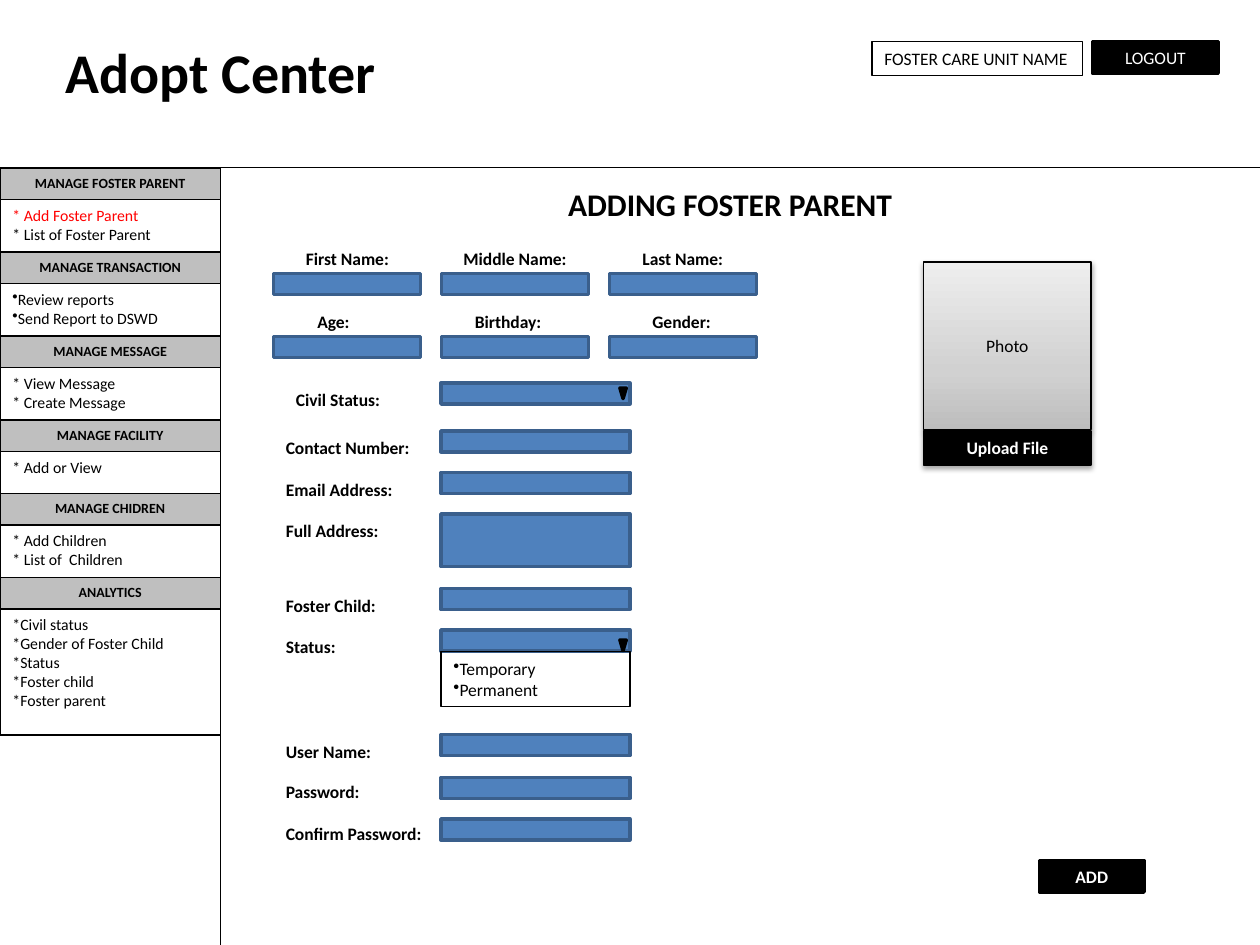
from copy import deepcopy
from dataclasses import dataclass

from lxml import etree
from pptx import Presentation
from pptx.dml.color import RGBColor
from pptx.enum.shapes import MSO_CONNECTOR, MSO_SHAPE
from pptx.enum.text import MSO_ANCHOR, MSO_AUTO_SIZE, PP_ALIGN
from pptx.oxml.ns import qn
from pptx.util import Inches, Pt

RECT, MERGE = MSO_SHAPE.RECTANGLE, MSO_SHAPE.FLOWCHART_MERGE
STRAIGHT = MSO_CONNECTOR.STRAIGHT
LEFT, CENTER = PP_ALIGN.LEFT, PP_ALIGN.CENTER
TOP, MIDDLE = MSO_ANCHOR.TOP, MSO_ANCHOR.MIDDLE
GROW, FIXED = MSO_AUTO_SIZE.SHAPE_TO_FIT_TEXT, MSO_AUTO_SIZE.NONE
UNIT = 1 / 12


@dataclass(frozen=True)
class Theme:
    font: str = "Calibri"
    ink: str = "000000"
    paper: str = "FFFFFF"
    active: str = "FF0000"
    header: str = "BFBFBF"
    field: str = "4F81BD"
    field_line: str = "3A5F8C"
    photo: tuple = ((0, "BDBDBD"), (0.35, "D1D1D1"), (1, "EEEEEE"))
    title: int = 32
    heading: int = 18
    body: int = 10
    menu: int = 9
    menu_header: int = 8
    thin: float = 0.75
    thick: float = 2


THEME = Theme()


def rgb(value):
    return RGBColor.from_string(value)


def write(sp, text, size=THEME.body, color=THEME.ink, bold=False, align=LEFT,
          anchor=TOP, bullet=False, wrap=True, grow=False, first_color=None):
    tf = sp.text_frame
    tf.word_wrap = wrap
    tf.auto_size = GROW if grow else FIXED
    tf.vertical_anchor = anchor
    for i, line in enumerate(text.split("\n")):
        p = tf.add_paragraph() if i else tf.paragraphs[0]
        p.alignment = align
        if bullet:
            etree.SubElement(p._p.get_or_add_pPr(), qn("a:buChar"), char="•")
        r = p.add_run()
        r.text = line
        r.font.name, r.font.size, r.font.bold = THEME.font, Pt(size), bold
        r.font.color.rgb = rgb(color if i or not first_color else first_color)


class Page:
    """Draws themed elements on the current slide."""

    def __init__(self, prs, theme):
        self.theme = theme
        self.s = prs.slides.add_slide(prs.slide_layouts[5])

    def title(self, text, *box):
        sp = self.s.shapes.title
        sp.left, sp.top, sp.width, sp.height = map(Inches, box)
        write(sp, text, size=self.theme.title, bold=True, grow=True)

    def label(self, text, *box, **style):
        sp = self.s.shapes.add_textbox(*map(Inches, box))
        write(sp, text, **{"bold": True, "grow": True, "wrap": False, **style})

    def box(self, *box, text=None, fill=None, line=THEME.ink,
            weight=THEME.thin, kind=RECT, **style):
        sp = self.s.shapes.add_shape(kind, *map(Inches, box))
        sp.shadow.inherit = False
        if fill:
            sp.fill.solid()
            sp.fill.fore_color.rgb = rgb(fill)
        else:
            sp.fill.background()
        sp.line.color.rgb = rgb(line)
        sp.line.width = Pt(weight)
        if text:
            write(sp, text, **style)
        return sp

    def field(self, left, top, width, height=2 * UNIT):
        self.box(left, top, width, height, fill=self.theme.field,
                 line=self.theme.field_line, weight=self.theme.thick)

    def arrow(self, top):
        self.box(4.92, top, 0.05, UNIT, fill=self.theme.ink,
                 weight=self.theme.thick, kind=MERGE)

    def button(self, text, *box, **style):
        style = {"weight": self.theme.thick, "anchor": MIDDLE, **style}
        return self.box(*box, text=text, fill=self.theme.ink,
                        color=self.theme.paper, align=CENTER, **style)

    def line(self, x1, y1, x2, y2):
        cx = self.s.shapes.add_connector(STRAIGHT, *map(Inches, (x1, y1, x2, y2)))
        cx.line.color.rgb = rgb(self.theme.ink)
        cx.line.width = Pt(self.theme.thin)
        etree.SubElement(cx._element.spPr, qn("a:effectLst"))

    def gradient(self, sp, stops):
        sp.fill.gradient()
        sp.fill.gradient_angle = 90
        gs_list = sp._element.spPr.find(".//" + qn("a:gsLst"))
        gs_list.insert(1, deepcopy(gs_list[0]))
        for stop, (position, color) in zip(sp.fill.gradient_stops, stops):
            stop.position = position
            stop.color.rgb = rgb(color)

    def shadow(self, sp, alpha, distance):
        effects = sp._element.spPr.find(qn("a:effectLst"))
        outer = etree.SubElement(effects, qn("a:outerShdw"), blurRad=str(Pt(3.1)),
                                 dist=str(Pt(distance)), dir="5400000", rotWithShape="0")
        color = etree.SubElement(outer, qn("a:srgbClr"), val=self.theme.ink)
        etree.SubElement(color, qn("a:alpha"), val=str(alpha * 1000))


MENU = [
    ("MANAGE FOSTER PARENT", 5, "* Add Foster Parent\n* List of Foster Parent",
     {"first_color": THEME.active}),
    ("MANAGE TRANSACTION", 5, "Review reports\nSend Report to DSWD", {"bullet": True}),
    ("MANAGE MESSAGE", 5, "* View Message\n* Create Message", {}),
    ("MANAGE FACILITY", 4, "* Add or View", {}),
    ("MANAGE CHIDREN", 5, "* Add Children\n* List of  Children", {}),
    ("ANALYTICS", 12, "*Civil status\n*Gender of Foster Child\n*Status\n"
                      "*Foster child\n*Foster parent", {}),
]
NAME_ROWS = [
    (1.92, [("First Name:", 2.33, 0.87), ("Middle Name:", 3.58, 1.03),
            ("Last Name:", 5, 0.85)]),
    (2.42, [("Age:", 2.42, 0.49), ("Birthday:", 3.67, 0.8), ("Gender:", 5.08, 0.67)]),
]
FORM_ROWS = [
    ("Civil Status:", 2.25, 3.04, 0.91, 3.04, 2),
    ("Contact Number:", 2.17, 3.42, 1.23, 3.42, 2),
    ("Email Address:", 2.17, 3.75, 1.06, 3.75, 2),
    ("Full Address:", 2.17, 4.08, 0.95, 4.08, 5),
    ("Foster Child:", 2.17, 4.67, 0.96, 4.67, 2),
    ("Status:", 2.17, 5, 0.61, 5, 2),
    ("User Name:", 2.17, 5.83, 0.88, 5.83, 2),
    ("Password:", 2.17, 6.15, 0.8, 6.17, 2),
    ("Confirm Password:", 2.17, 6.48, 1.3, 6.5, 2),
]


def draw_menu(page):
    top, width, head = 16 * UNIT, 1.75, 3 * UNIT
    for name, units, items, style in MENU:
        page.box(0, top, width, head, text=name, fill=THEME.header,
                 size=THEME.menu_header, bold=True, align=CENTER)
        page.box(0, top + head, width, units * UNIT, text=items,
                 fill=THEME.paper, size=THEME.menu, **style)
        top += head + units * UNIT


def draw_form(page):
    for top, labels in NAME_ROWS:
        for column, (text, left, width) in enumerate(labels):
            page.label(text, left, top, width, 0.27)
            page.field(2.17 + column * 16 * UNIT, top + 0.25, 14 * UNIT)
    for text, left, top, width, field_top, units in FORM_ROWS:
        page.label(text, left, top, width, 0.27)
        page.field(3.5, field_top, 1.5, units * UNIT)
    for top in (3.08, 5.08):
        page.arrow(top)
    page.box(3.5, 5.17, 1.5, 0.44, text="Temporary\nPermanent", bullet=True, grow=True)


def main():
    prs = Presentation()
    prs.slide_width, prs.slide_height = Inches(10), Inches(7.5)
    page = Page(prs, THEME)
    page.line(1.75, 1.33, 1.75, 7.5)
    page.line(0, 1.33, 10, 1.33)
    page.title("Adopt Center", 0.42, 0.25, 4.42, 0.64)
    page.box(6.92, 0.33, 1.67, 0.27, text="FOSTER CARE UNIT NAME", grow=True)
    page.button("LOGOUT", 8.67, 0.33, 1, 0.25)
    page.label("ADDING FOSTER PARENT", 4.17, 1.42, 3.25, 0.4,
               size=THEME.heading, align=CENTER, wrap=True)
    draw_menu(page)
    draw_form(page)
    photo = page.box(7.33, 2.08, 1.33, 1.33, text="Photo", align=CENTER, anchor=MIDDLE)
    page.gradient(photo, THEME.photo)
    page.shadow(photo, 38, 1.6)
    upload = page.button("Upload File", 7.33, 3.42, 1.33, 0.27, weight=THEME.thin,
                         anchor=TOP, bold=True, grow=True)
    page.shadow(upload, 35, 1.8)
    page.button("ADD", 8.25, 6.83, 0.83, 0.25, bold=True)
    prs.save("out.pptx")


if __name__ == "__main__":
    main()
